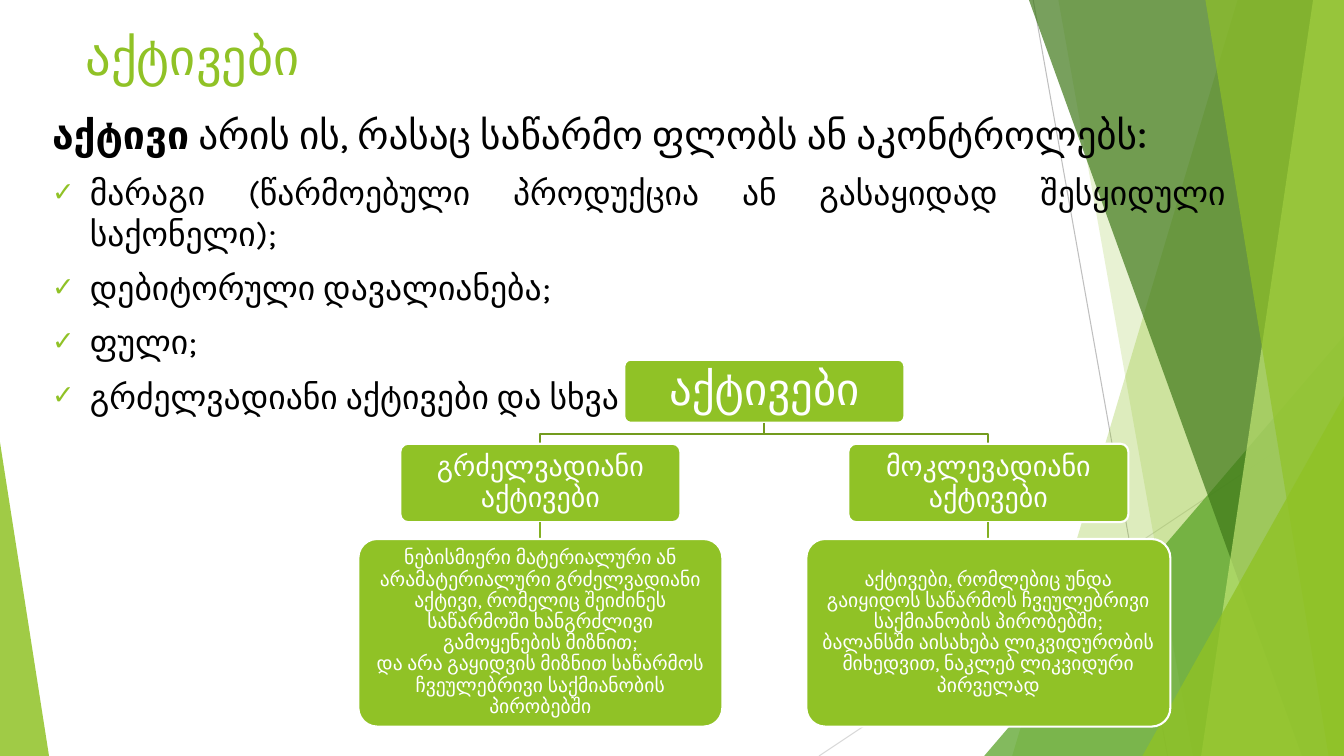
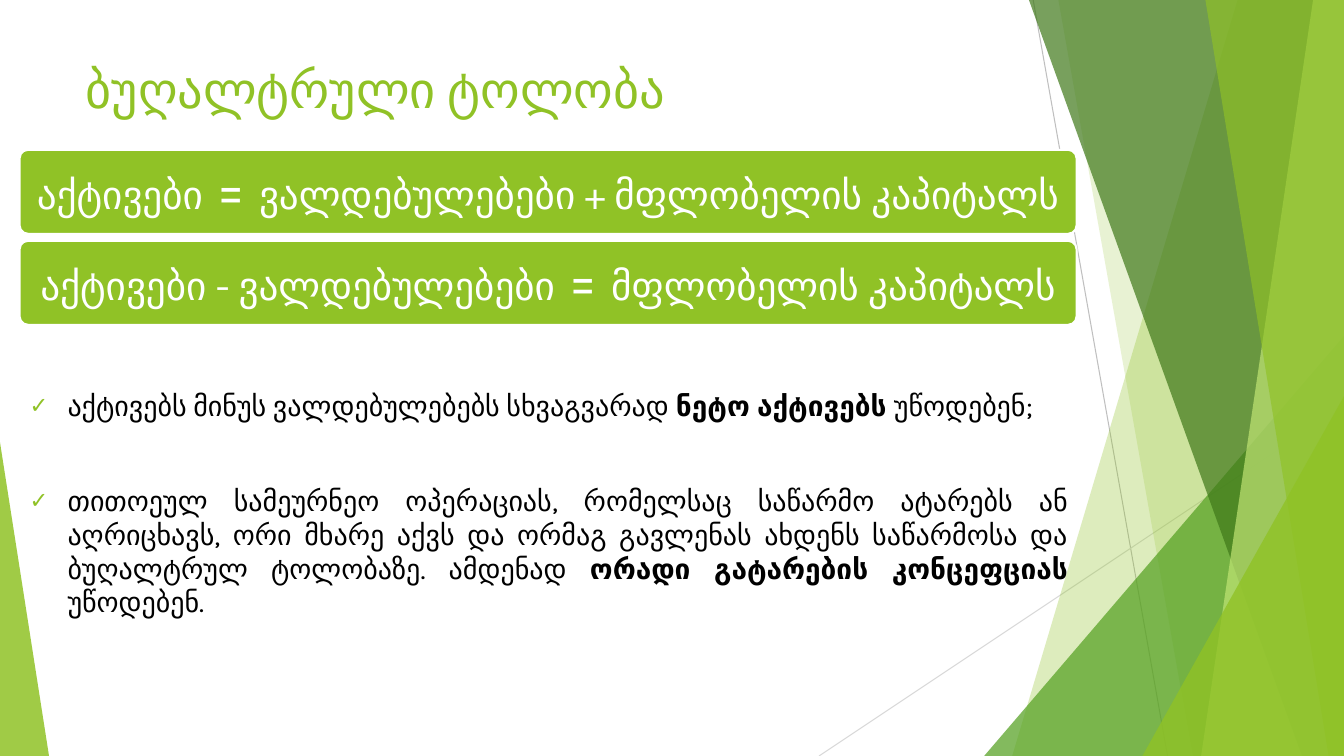
import pptx
import pptx.dml.color
import pptx.enum.shapes
import pptx.enum.text
import pptx.oxml
import pptx.oxml.ns
import pptx.util

Pt = pptx.util.Pt
ALIGN = pptx.enum.text.PP_ALIGN
ANCHOR = pptx.enum.text.MSO_ANCHOR
SHAPE = pptx.enum.shapes.MSO_SHAPE
LINK = pptx.enum.shapes.MSO_CONNECTOR
FONT = "Karla"
WIDE, HIGH = 960, 540
HUES = {
    "lime": "90C226", "green": "54A021", "dark": "3F7819", "pale": "C0E474",
    "stem": "739B1E", "twig": "83B022", "grey": "BFBFBF", "mist": "D9D9D9",
    "black": "000000", "white": "FFFFFF",
}


def hue(name):
    """Return a named colour."""
    return pptx.dml.color.RGBColor.from_string(HUES[name])


def add_tag(owner, tag, **marks):
    """Append an empty drawing element with the given attributes."""
    part = pptx.oxml.parse_xml(f"<a:{tag} {pptx.oxml.ns.nsdecls('a')}/>")
    for key, value in marks.items():
        part.set(key, str(value))
    owner.append(part)
    return part


def add_line(shapes, start, end, colour, weight):
    """Draw a straight line between two points."""
    line = shapes.add_connector(LINK.STRAIGHT, *map(Pt, start + end))
    line.line.color.rgb = hue(colour)
    line.line.width = Pt(weight)
    add_tag(line.element.spPr, "effectLst")


def paint(shape, colour, cover):
    """Fill a shape with a partly clear colour and no outline."""
    shape.shadow.inherit = False
    shape.fill.solid()
    shape.fill.fore_color.rgb = hue(colour)
    tint = shape.element.spPr.find(".//" + pptx.oxml.ns.qn("a:srgbClr"))
    add_tag(tint, "alpha", val=cover * 1000)
    shape.line.fill.background()


def add_panel(shapes, top, base, colour, cover):
    """Draw a slanted panel that reaches the right edge."""
    form = shapes.build_freeform(top, 0, scale=Pt(1))
    form.add_line_segments([(WIDE, 0), (WIDE, HIGH), (base, HIGH)])
    paint(form.convert_to_shape(), colour, cover)


def add_wedge(shapes, left, top, width, peak, colour, cover):
    """Draw a triangle that stands on the bottom edge."""
    box = map(Pt, (left, top, width, HIGH - top))
    wedge = shapes.add_shape(SHAPE.ISOSCELES_TRIANGLE, *box)
    wedge.adjustments[0] = peak
    paint(wedge, colour, cover)


def add_decor(slide):
    """Draw the shared backdrop and hand it to the layout."""
    layout = slide.slide_layout
    for holder in list(layout.placeholders):
        if holder.placeholder_format.idx >= 10:
            holder.element.getparent().remove(holder.element)
    group = slide.shapes.add_group_shape()
    shapes = group.shapes
    add_line(shapes, (738, 0), (834, HIGH), "grey", 0.75)
    add_line(shapes, (WIDE, 290), (585, HIGH), "mist", 0.75)
    add_panel(shapes, 884, 723, "lime", 30)
    add_panel(shapes, 756, 852, "lime", 20)
    add_wedge(shapes, 703, 240, 257, 1, "green", 72)
    add_panel(shapes, 735, 930, "dark", 70)
    add_panel(shapes, 938, 858, "pale", 70)
    add_panel(shapes, 861, 949, "lime", 65)
    add_wedge(shapes, 816, 283, 144, 1, "lime", 80)
    add_wedge(shapes, 0, 316, 35, 0, "lime", 85)
    layout.shapes.element.append(group.element)


def write(para, runs, size, colour):
    """Fill a paragraph with (text, bold, size) runs."""
    para.font.name = FONT
    para.font.size = Pt(size)
    para.font.color.rgb = hue(colour)
    for text, bold, own in runs:
        if text == "\n":
            para.add_line_break()
            continue
        run = para.add_run()
        run.text = text
        if bold:
            run.font.bold = True
        if own:
            run.font.size = Pt(own)


def plain(text):
    """Make a run without its own format."""
    return text, False, None


def bold(text):
    """Make a bold run."""
    return text, True, None


def place(shape, box):
    """Move a placeholder and return its top-anchored text frame."""
    shape.left, shape.top, shape.width, shape.height = map(Pt, box)
    frame = shape.text_frame
    frame.word_wrap = True
    frame.auto_size = pptx.enum.text.MSO_AUTO_SIZE.NONE
    frame.vertical_anchor = ANCHOR.TOP
    return frame


def set_title(slide, text, top):
    """Set the slide title."""
    para = place(slide.shapes.title, (54, top, 840, 138)).paragraphs[0]
    para.alignment = ALIGN.LEFT
    write(para, [plain(text)], 36, "lime")


def set_body(slide, box, items, gap):
    """Set the body from (ticked, size, runs) items."""
    frame = place(slide.placeholders[1], box)
    for index, (ticked, size, runs) in enumerate(items):
        para = frame.add_paragraph() if index else frame.paragraphs[0]
        props = para._p.get_or_add_pPr()
        props.set("marL", str(Pt(27 if ticked else 0)))
        props.set("indent", str(Pt(-27 if ticked else 0)))
        if ticked:
            tint = add_tag(props, "buClr")
            add_tag(tint, "srgbClr", val=HUES["lime"])
            add_tag(props, "buSzPct", val=80000)
            add_tag(props, "buChar", char="✓")
        else:
            add_tag(props, "buNone")
        para.alignment = ALIGN.JUSTIFY
        para.space_before = Pt(gap if index else 0)
        write(para, runs, size, "black")


def add_tile(slide, box, size, runs):
    """Draw a rounded tile with centred white text."""
    tile = slide.shapes.add_shape(SHAPE.ROUNDED_RECTANGLE, *map(Pt, box))
    tile.adjustments[0] = 0.1
    tile.shadow.inherit = False
    tile.fill.solid()
    tile.fill.fore_color.rgb = hue("lime")
    tile.line.color.rgb = hue("white")
    tile.line.width = Pt(1.5)
    frame = tile.text_frame
    frame.word_wrap = True
    frame.vertical_anchor = ANCHOR.MIDDLE
    inset = Pt(0.3 * size)
    frame.margin_left = frame.margin_right = inset
    frame.margin_top = frame.margin_bottom = inset
    para = frame.paragraphs[0]
    para.alignment = ALIGN.CENTER
    para.line_spacing = 0.9
    write(para, runs, size, "white")


def add_tree(slide, box, root, limbs):
    """Draw a root tile over evenly spread limbs of two tiles each."""
    left, top, width, height = box
    mid = left + width / 2
    head, leaf = 200, 260
    fork, name, note = top + 45, top + 60, top + 128
    pitch = (width - leaf) / (len(limbs) - 1)
    add_tile(slide, (mid - head / 2, top, head, 45), 32, [plain(root)])
    for index, (title, lines) in enumerate(limbs):
        axis = left + leaf / 2 + index * pitch
        bend = (fork + name) / 2
        form = slide.shapes.build_freeform(mid, fork, scale=Pt(1))
        form.add_line_segments(
            [(mid, bend), (axis, bend), (axis, name)], close=False)
        elbow = form.convert_to_shape()
        elbow.shadow.inherit = False
        elbow.fill.background()
        elbow.line.color.rgb = hue("stem")
        elbow.line.width = Pt(1.5)
        add_tile(slide, (axis - head / 2, name, head, 56), 20, [plain(title)])
        add_line(slide.shapes, (axis, name + 56), (axis, note), "twig", 1.5)
        first, second = map(plain, lines)
        add_tile(slide, (axis - leaf / 2, note, leaf, top + height - note), 14,
                 [first, plain("\n"), second])


def fill_assets(slide):
    """Build the slide on assets."""
    set_title(slide, "აქტივები", 14)
    points = [
        "მარაგი (წარმოებული პროდუქცია ან გასაყიდად შესყიდული საქონელი);",
        "დებიტორული დავალიანება;",
        "ფული;",
        "გრძელვადიანი აქტივები და სხვა",
    ]
    lead = [bold("აქტივი"),
            plain(" არის ის, რასაც საწარმო ფლობს ან აკონტროლებს"),
            (":", False, 32)]
    items = [(False, 28, lead)]
    items += [(True, 24, [plain(text)]) for text in points]
    set_body(slide, (30, 71, 853, 357), items, 10)
    add_tree(slide, (256, 257, 580, 262), "აქტივები", [
        ("გრძელვადიანი აქტივები", (
            "ნებისმიერი მატერიალური ან არამატერიალური გრძელვადიანი აქტივი, "
            "რომელიც შეიძინეს საწარმოში ხანგრძლივი გამოყენების მიზნით;",
            "და არა გაყიდვის მიზნით საწარმოს ჩვეულებრივი საქმიანობის "
            "პირობებში")),
        ("მოკლევადიანი აქტივები", (
            "აქტივები, რომლებიც უნდა გაიყიდოს საწარმოს ჩვეულებრივი "
            "საქმიანობის პირობებში;",
            "ბალანსში აისახება ლიკვიდურობის მიხედვით, ნაკლებ ლიკვიდური "
            "პირველად")),
    ])


def fill_sums(slide):
    """Build the slide on the accounting equation."""
    set_title(slide, "ბუღალტრული ტოლობა", 38)
    set_body(slide, (14, 274, 756, 195), [
        (True, 20, [plain("აქტივებს მინუს ვალდებულებებს სხვაგვარად "),
                    bold("ნეტო აქტივებს "), plain("უწოდებენ;")]),
        (True, 20, [plain(
            "თითოეულ სამეურნეო ოპერაციას, რომელსაც საწარმო ატარებს ან "
            "აღრიცხავს, ორი მხარე აქვს და ორმაგ გავლენას ახდენს საწარმოსა "
            "და ბუღალტრულ ტოლობაზე. ამდენად "),
            bold("ორადი გატარების კონცეფციას "), plain("უწოდებენ.")]),
    ], 44)
    sums = [
        ("აქტივები", "ვალდებულებები + მფლობელის კაპიტალს"),
        ("აქტივები - ვალდებულებები", "მფლობელის კაპიტალს"),
    ]
    for index, (left, right) in enumerate(sums):
        add_tile(slide, (14, 107 + 65 * index, 755, 60), 28,
                 [plain(left), (" = ", False, 40), plain(right)])


def main():
    """Build and save the deck."""
    deck = pptx.Presentation()
    deck.slide_width, deck.slide_height = Pt(WIDE), Pt(HIGH)
    layout = deck.slide_layouts[1]
    first = deck.slides.add_slide(layout)
    add_decor(first)
    fill_assets(first)
    fill_sums(deck.slides.add_slide(layout))
    deck.save("out.pptx")


if __name__ == "__main__":
    main()
